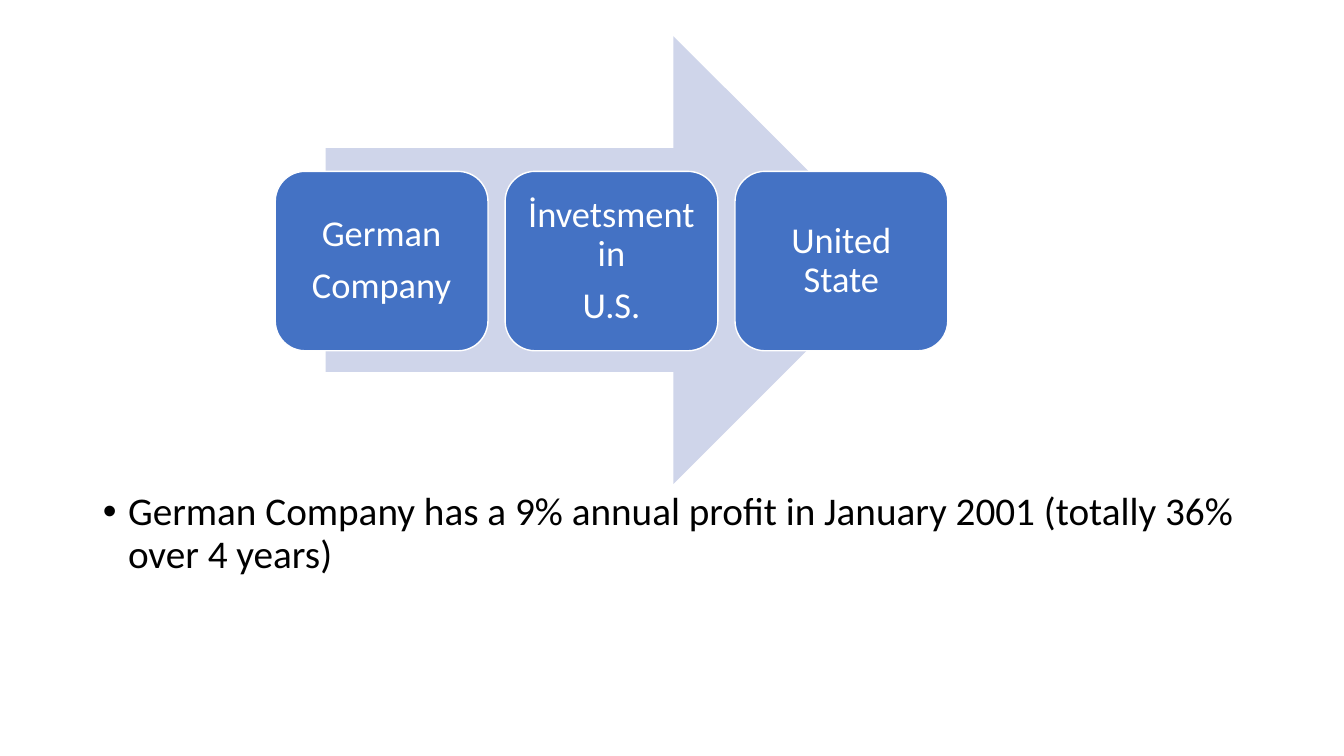
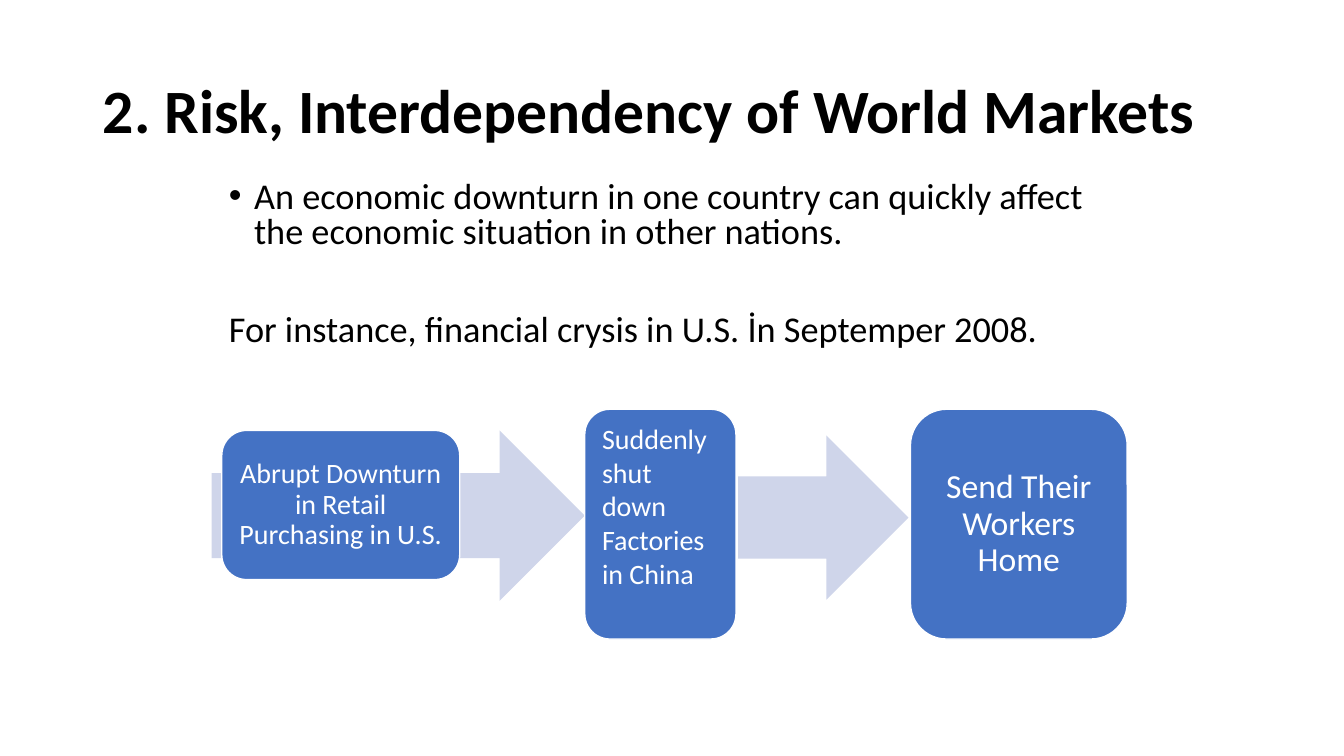
from pptx import Presentation
from pptx.dml.color import RGBColor
from pptx.enum.shapes import MSO_SHAPE as SHAPE
from pptx.enum.text import MSO_ANCHOR as ANCHOR, MSO_AUTO_SIZE as AUTO, PP_ALIGN as ALIGN
from pptx.oxml.ns import qn
from pptx.util import Inches, Pt
from lxml import etree

BLUE = RGBColor(0x44, 0x72, 0xC4)
PALE = RGBColor(0xCF, 0xD5, 0xEA)
WHITE = RGBColor(0xFF, 0xFF, 0xFF)
BLACK = RGBColor(0x00, 0x00, 0x00)
FONT = "Calibri"
SIDES = ("left", "top", "width", "height")


def write(sp, lines, size, color=WHITE, inset=None, anchor=ANCHOR.MIDDLE, bold=False, **fmt):
    """Fill a shape with one paragraph a line; fmt holds paragraph attributes."""
    tf = sp.text_frame
    tf.word_wrap = True
    tf.auto_size = AUTO.NONE
    tf.vertical_anchor = anchor
    if inset is not None:
        for side in SIDES[:2] + ("right", "bottom"):
            setattr(tf, f"margin_{side}", Inches(inset))
    tf.text = "\n".join(lines)
    for p in tf.paragraphs:
        for name, value in fmt.items():
            setattr(p, name, value)
        for r in p.runs:
            r.font.name, r.font.size, r.font.bold = FONT, Pt(size), bold
            r.font.color.rgb = color


def add_block(s, kind, at, fill, line=None):
    """Add a flat shape, outlined only when a line colour is given."""
    sp = s.shapes.add_shape(kind, *map(Inches, at))
    sp.shadow.inherit = False
    sp.fill.solid()
    sp.fill.fore_color.rgb = fill
    if line is None:
        sp.line.fill.background()
    else:
        sp.line.color.rgb = line
        sp.line.width = Pt(1)
    return sp


prs = Presentation()
prs.slide_width, prs.slide_height = Inches(13.33), Inches(7.5)

BODY = dict(color=BLACK, anchor=ANCHOR.TOP, space_before=Pt(0))
BOX = dict(alignment=ALIGN.CENTER, line_spacing=0.9)

SLIDES = [
    {
        "title": None,
        "body_at": (0.92, 4.83, 11.5, 1.93),
        "body": ["German Company has a 9% annual profit in January 2001 (totally 36% over 4 years)"],
        "body_format": dict(size=28, line_spacing=0.9),
        "arrows": [(3.23, 0.36, 5.67, 4.44)],
        "boxes": [
            ((2.73 + 2.28 * i, 1.7, 2.11, 1.78), lines,
             dict(BOX, size=26, inset=0.11, space_after=Pt(9)))
            for i, lines in enumerate((["German", "Company"], ["İnvetsment in", "U.S."], ["United State"]))
        ],
    },
    {
        "title": "2. Risk, Interdependency of World Markets",
        "body_at": (2.17, 1.75, 9, 2.31),
        "body": ["An economic downturn in one country can quickly affect the economic situation in other nations.",
                 "For instance, financial crysis in U.S. İn Septemper 2008."],
        "body_format": dict(size=25.9, line_spacing=0.8),
        "arrows": [(2.1, 4.27, 3.7, 1.69), (7.32, 4.32, 1.69, 1.63)],
        "boxes": [
            ((2.2, 4.27, 2.36, 1.48), ["Abrupt Downturn in Retail Purchasing in U.S."],
             dict(BOX, size=20, inset=0.08)),
            ((5.8, 4.06, 1.5, 2.28), ["Suddenly shut down Factories in China"],
             dict(size=20, anchor=ANCHOR.TOP, alignment=ALIGN.LEFT)),
            ((9.03, 4.06, 2.15, 2.28), ["Send Their Workers Home"],
             dict(BOX, size=24, inset=0.01)),
        ],
    },
]

for content in SLIDES:
    s = prs.slides.add_slide(prs.slide_layouts[1])
    title, body = s.placeholders

    # Title
    if content["title"]:
        for side, value in zip(SIDES, (0.92, 0.4, 11.5, 1.45)):
            setattr(title, side, Inches(value))
        write(title, [content["title"]], 44, BLACK, bold=True,
              alignment=ALIGN.LEFT, line_spacing=0.9)
    else:
        title.element.getparent().remove(title.element)

    # Body: a bulleted first paragraph, then plain ones set apart
    for side, value in zip(SIDES, content["body_at"]):
        setattr(body, side, Inches(value))
    write(body, content["body"], **BODY, **content["body_format"])
    for i, p in enumerate(body.text_frame.paragraphs):
        pPr = p._p.get_or_add_pPr()
        indent = 0 if i else Inches(0.25)
        pPr.set("marL", str(indent))
        pPr.set("indent", str(-indent))
        if i:
            p.space_before = Pt(45)
            etree.SubElement(pPr, qn("a:buNone"))

    # Diagram: arrows behind, boxes in front
    for at in content["arrows"]:
        add_block(s, SHAPE.RIGHT_ARROW, at, PALE)
    for at, lines, fmt in content["boxes"]:
        write(add_block(s, SHAPE.ROUNDED_RECTANGLE, at, BLUE, WHITE), lines, **fmt)

prs.save("out.pptx")
